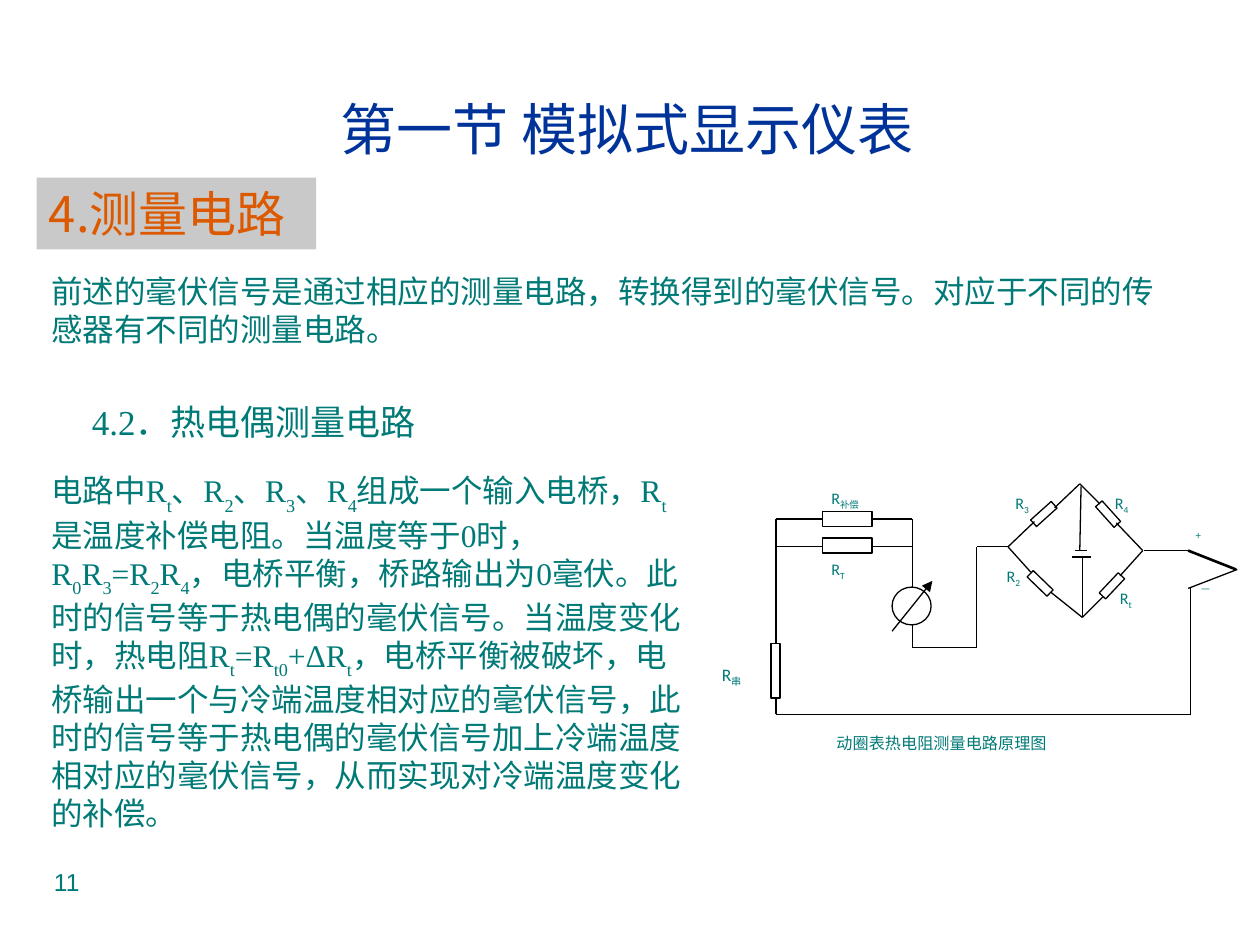
from itertools import pairwise

from lxml import etree
from pptx import Presentation
from pptx.dml.color import RGBColor
from pptx.enum.shapes import MSO_CONNECTOR, MSO_SHAPE
from pptx.enum.text import MSO_ANCHOR, PP_ALIGN
from pptx.oxml.ns import qn
from pptx.util import Inches, Pt

RECTANGLE, OVAL = MSO_SHAPE.RECTANGLE, MSO_SHAPE.OVAL
STRAIGHT = MSO_CONNECTOR.STRAIGHT
TOP, MIDDLE = MSO_ANCHOR.TOP, MSO_ANCHOR.MIDDLE
LEFT, CENTER, JUSTIFY = PP_ALIGN.LEFT, PP_ALIGN.CENTER, PP_ALIGN.JUSTIFY

COLORS = {
    "title": "003399",
    "heading": "DC5900",
    "band": "C0C0C0",
    "text": "007A77",
    "ink": "000000",
    "paper": "FFFFFF",
}
CHINESE_FONT = "Noto Sans CJK SC"


def color(name):
    return RGBColor.from_string(COLORS[name])


def write_text(shape, text, size=18, font="Arial", fill="text", align=LEFT,
               anchor=TOP, wrap=True, spacing=None, drop=-30):
    """Text between underscores becomes a subscript."""
    frame = shape.text_frame
    frame.word_wrap = wrap
    frame.vertical_anchor = anchor
    paragraph = frame.paragraphs[0]
    paragraph.alignment = align
    if spacing:
        paragraph.line_spacing = spacing
    for index, piece in enumerate(text.split("_")):
        if not piece:
            continue
        run = paragraph.add_run()
        run.text = piece
        run.font.size = Pt(size)
        run.font.name = font
        run.font.color.rgb = color(fill)
        properties = run._r.get_or_add_rPr()
        etree.SubElement(properties, qn("a:ea")).set("typeface", CHINESE_FONT)
        if index % 2:
            properties.set("baseline", str(drop * 1000))


class CircuitSlide:
    def __init__(self, slide):
        self.shapes = slide.shapes

    def text(self, left, top, width, height, text, **style):
        box = self.shapes.add_textbox(Inches(left), Inches(top), Inches(width), Inches(height))
        write_text(box, text, **style)

    def label(self, left, top, text, width=0.35, height=0.28, size=9.2, spacing=0.9):
        self.text(left, top, width, height, text, size=size, font="Calibri",
                  align=JUSTIFY, spacing=spacing, drop=-25)

    def filled_shape(self, kind, left, top, width, height, fill):
        shape = self.shapes.add_shape(kind, Inches(left), Inches(top), Inches(width), Inches(height))
        shape.shadow.inherit = False
        shape.fill.solid()
        shape.fill.fore_color.rgb = color(fill)
        return shape

    def component(self, kind, left, top, width, height, rotation=0):
        shape = self.filled_shape(kind, left, top, width, height, "paper")
        shape.rotation = rotation
        shape.line.color.rgb = color("ink")
        shape.line.width = Pt(0.75)

    def band(self, left, top, width, height, text, **style):
        shape = self.filled_shape(RECTANGLE, left, top, width, height, "band")
        shade = shape._element.spPr.find(".//" + qn("a:srgbClr"))
        etree.SubElement(shade, qn("a:alpha")).set("val", "85000")
        shape.line.fill.background()
        write_text(shape, text, **style)

    def wire(self, *points, width=0.75, arrow=False):
        for start, end in pairwise(points):
            connector = self.shapes.add_connector(STRAIGHT, *map(Inches, start + end))
            connector.line.color.rgb = color("ink")
            connector.line.width = Pt(width)
            properties = connector._element.spPr
            if arrow:
                outline = properties.find(qn("a:ln"))
                etree.SubElement(outline, qn("a:tailEnd")).set("type", "triangle")
            etree.SubElement(properties, qn("a:effectLst"))


def draw_circuit(page):
    page.wire((6.53, 4.12), (6.16, 4.12), (6.16, 5.67), (9.45, 5.67), (9.45, 4.67))
    page.wire((6.92, 4.12), (7.24, 4.12), (7.24, 5.14), (7.75, 5.14), (7.75, 4.34), (8, 4.34))
    for top in (4.06, 4.27):
        page.component(RECTANGLE, 6.53, top, 0.39, 0.12)
    page.wire((6.16, 4.34), (6.53, 4.34))
    page.wire((6.92, 4.34), (7.24, 4.34))
    page.component(RECTANGLE, 6.12, 5.11, 0.07, 0.43)
    page.component(OVAL, 7.08, 4.66, 0.31, 0.3)
    page.wire((7.08, 5.01), (7.4, 4.61), arrow=True)

    bridge_resistors = [(8.76, 3.97, 318), (8.22, 4.52, 314.1), (8.79, 4.54, 43.3), (8.25, 3.97, 48)]
    for left, top, rotation in bridge_resistors:
        page.component(RECTANGLE, left, top, 0.07, 0.22, rotation)
    page.wire((8.21, 4.14), (8, 4.34), (8.18, 4.54))
    page.wire((8.37, 4.03), (8.57, 3.84), (8.73, 4))
    page.wire((8.86, 4.15), (9.07, 4.37), (8.89, 4.57))
    page.wire((8.34, 4.7), (8.59, 4.9), (8.75, 4.74))

    page.wire((8.58, 3.86), (8.57, 4.37))
    page.wire((8.53, 4.37), (8.63, 4.37))
    page.wire((8.51, 4.42), (8.66, 4.42))
    page.wire((8.59, 4.42), (8.59, 4.9))

    page.wire((9.08, 4.37), (9.45, 4.37))
    page.wire((9.43, 4.37), (9.81, 4.52), width=1.5)
    page.wire((9.82, 4.52), (9.43, 4.67))

    page.label(6.5, 3.83, "R_补偿_", width=0.55)
    page.label(6.5, 4.39, "R_T_", width=0.47)
    page.label(5.63, 5.22, "R_串_", width=0.48, height=0.3, size=10, spacing=None)
    page.label(7.96, 3.87, "R_3_")
    page.label(8.75, 3.87, "R_4_")
    page.label(7.89, 4.45, "R_2_")
    page.label(8.79, 4.62, "R_t_")
    page.label(9.39, 4.17, "+", width=0.28, height=0.22, size=6.2, spacing=0.8)
    page.label(9.43, 4.59, "—", width=0.28, height=0.22, size=6.2, spacing=0.8)
    page.label(6.54, 5.79, "动圈表热电阻测量电路原理图", width=2.92)


def main():
    presentation = Presentation()
    presentation.slide_width = Inches(10)
    presentation.slide_height = Inches(7.5)
    page = CircuitSlide(presentation.slides.add_slide(presentation.slide_layouts[6]))

    page.text(0.31, 0.39, 9.34, 1.25, "第一节 模拟式显示仪表", size=32, fill="title",
              align=CENTER, anchor=MIDDLE)
    page.band(0.29, 1.41, 2.22, 0.57, "4.测量电路", size=28, font=CHINESE_FONT,
              fill="heading", align=JUSTIFY, wrap=False)
    page.text(0.31, 2.11, 9.14, 0.7,
              "前述的毫伏信号是通过相应的测量电路，转换得到的毫伏信号。"
              "对应于不同的传感器有不同的测量电路。")
    page.text(0.63, 2.96, 3.12, 0.77, "4.2．热电偶测量电路", size=20,
              font="Times New Roman", anchor=MIDDLE)
    draw_circuit(page)
    page.text(0.31, 3.66, 5.23, 3.02,
              "电路中R_t_、R_2_、R_3_、R_4_组成一个输入电桥，R_t_是温度补偿电阻。"
              "当温度等于0时，R_0_R_3_=R_2_R_4_，电桥平衡，桥路输出为0毫伏。"
              "此时的信号等于热电偶的毫伏信号。当温度变化时，热电阻R_t_=R_t0_+ΔR_t_，"
              "电桥平衡被破坏，电桥输出一个与冷端温度相对应的毫伏信号，"
              "此时的信号等于热电偶的毫伏信号加上冷端温度相对应的毫伏信号，"
              "从而实现对冷端温度变化的补偿。",
              font="Times New Roman", anchor=MIDDLE)
    page.text(0.33, 6.83, 2.5, 0.52, "11", size=14)
    presentation.save("out.pptx")


if __name__ == "__main__":
    main()
